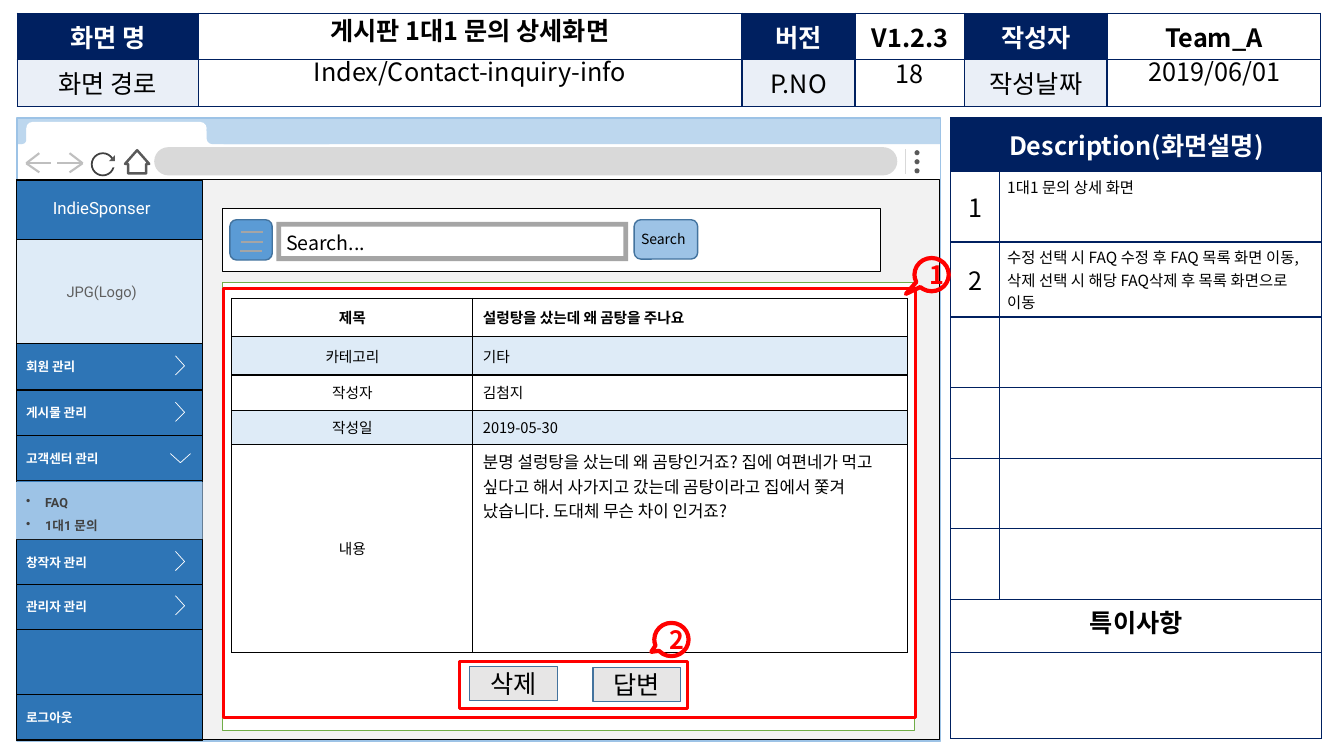
"""Build the wireframe slide of the one-to-one inquiry detail screen."""
from dataclasses import dataclass, field
from typing import Any, Optional

from lxml import etree
from pptx import Presentation
from pptx.dml.color import RGBColor
from pptx.enum.shapes import MSO_CONNECTOR, MSO_SHAPE
from pptx.enum.text import MSO_ANCHOR, PP_ALIGN
from pptx.oxml.ns import qn
from pptx.util import Pt

SCALE = 9144
RECT, ROUND, OVAL = MSO_SHAPE.RECTANGLE, MSO_SHAPE.ROUNDED_RECTANGLE, MSO_SHAPE.OVAL
TRIANGLE, ARROW = MSO_SHAPE.ISOSCELES_TRIANGLE, MSO_SHAPE.DOWN_ARROW
FRAME, CALLOUT = MSO_SHAPE.FRAME, MSO_SHAPE.OVAL_CALLOUT
STRAIGHT = MSO_CONNECTOR.STRAIGHT
LEFT, CENTER = PP_ALIGN.LEFT, PP_ALIGN.CENTER
TOP, MIDDLE = MSO_ANCHOR.TOP, MSO_ANCHOR.MIDDLE
KOREAN, LATIN = "Noto Sans CJK KR", "Roboto"

BLACK, WHITE = RGBColor(0, 0, 0), RGBColor(255, 255, 255)
RED, GREEN = RGBColor(255, 0, 0), RGBColor(0x70, 0xAD, 0x47)
NAVY, ICE = RGBColor(0, 0x20, 0x60), RGBColor(0xEA, 0xEF, 0xF7)
MENU_BLUE, PALE_BLUE = RGBColor(0x2E, 0x75, 0xB6), RGBColor(0xDE, 0xEB, 0xF7)
TAB_BLUE, SOFT_BLUE = RGBColor(0xBD, 0xD7, 0xEE), RGBColor(0x9D, 0xC3, 0xE6)
ICON_BLUE, EDGE_BLUE = RGBColor(0x5B, 0x9B, 0xD5), RGBColor(0x43, 0x73, 0x9E)
PAGE_GRAY, BUTTON_GRAY = RGBColor(0xF2, 0xF2, 0xF2), RGBColor(0xE7, 0xE6, 0xE6)
LIGHT_GRAY, ARROW_GRAY = RGBColor(0xD9, 0xD9, 0xD9), RGBColor(0xBF, 0xBF, 0xBF)
MID_GRAY, LOGO_GRAY = RGBColor(0xA5, 0xA5, 0xA5), RGBColor(0x5F, 0x5F, 0x5F)
ICON_GRAY, DARK_GRAY = RGBColor(0x59, 0x59, 0x59), RGBColor(0x40, 0x40, 0x40)


@dataclass(frozen=True)
class Box:
    """A preset shape, or a text box when it has no preset."""
    left: int
    top: int
    width: int
    height: int
    preset: Any = RECT
    fill: Optional[RGBColor] = None
    line: Optional[RGBColor] = None
    weight: float = 1
    adjust: tuple[float, ...] = ()
    turn: int = 0
    text: str = ""
    style: dict[str, Any] = field(default_factory=dict)


@dataclass(frozen=True)
class Stroke:
    """A straight line between two points."""
    x1: int
    y1: int
    x2: int
    y2: int
    color: RGBColor = ARROW_GRAY
    weight: float = 1.5


@dataclass(frozen=True)
class Cell:
    """A table cell with its fill and text format."""
    text: str = ""
    fill: Optional[RGBColor] = None
    style: dict[str, Any] = field(default_factory=dict)


def write(frame: Any, text: str, *, size: float = 18, color: RGBColor = BLACK,
          bold: bool = False, align: Any = CENTER, anchor: Any = MIDDLE, font: str = KOREAN,
          spacing: Optional[float] = None, bullet: bool = False,
          insets: tuple[int, int, int, int] = (10, 5, 10, 5)) -> None:
    """Fill a text frame with one paragraph for each line of text."""
    frame.word_wrap = True
    frame.vertical_anchor = anchor
    frame.margin_left, frame.margin_top, frame.margin_right, frame.margin_bottom = (
        inset * SCALE for inset in insets)
    for index, words in enumerate(text.split("\n")):
        para = frame.add_paragraph() if index else frame.paragraphs[0]
        para.alignment = align
        if bullet:
            props = para._p.get_or_add_pPr()
            props.set("marL", str(19 * SCALE))
            props.set("indent", str(-19 * SCALE))
            etree.SubElement(props, qn("a:buChar"), char="•")
        if spacing:
            para.line_spacing = spacing
        span = para.add_run()
        span.text = words
        span.font.size, span.font.bold, span.font.name = Pt(size), bold, font
        span.font.color.rgb = color
        etree.SubElement(span._r.get_or_add_rPr(), qn("a:ea"), typeface=KOREAN)


def paint(shape: Any, fill: Optional[RGBColor], line: Optional[RGBColor], weight: float) -> None:
    """Set the fill and outline of a shape and drop its shadow."""
    shape.shadow.inherit = False
    if fill is None:
        shape.fill.background()
    else:
        shape.fill.solid()
        shape.fill.fore_color.rgb = fill
    if line is None:
        shape.line.fill.background()
    else:
        shape.line.color.rgb = line
        shape.line.width = Pt(weight)


def draw_box(page: Any, box: Box) -> None:
    """Draw a preset shape or a text box."""
    place = [length * SCALE for length in (box.left, box.top, box.width, box.height)]
    if box.preset is None:
        shape = page.shapes.add_textbox(*place)
    else:
        shape = page.shapes.add_shape(box.preset, *place)
        paint(shape, box.fill, box.line, box.weight)
        shape.rotation = box.turn
        for index, value in enumerate(box.adjust):
            shape.adjustments[index] = value
    if box.text:
        write(shape.text_frame, box.text, **box.style)


def draw_stroke(page: Any, stroke: Stroke) -> None:
    """Draw a straight line."""
    ends = [length * SCALE for length in (stroke.x1, stroke.y1, stroke.x2, stroke.y2)]
    line = page.shapes.add_connector(STRAIGHT, *ends)
    line.line.color.rgb = stroke.color
    line.line.width = Pt(stroke.weight)
    etree.SubElement(line._element.spPr, qn("a:effectLst"))


def draw_chevron(page: Any, points: list[tuple[int, int]]) -> None:
    """Draw an open white chevron."""
    builder = page.shapes.build_freeform(*points[0], scale=SCALE)
    builder.add_line_segments(points[1:], close=False)
    paint(builder.convert_to_shape(), None, WHITE, 0.5)


def draw_table(page: Any, left: int, top: int, widths: list[int], heights: list[int],
               rows: list[list[Cell]], border: RGBColor) -> None:
    """Draw a bordered table; a row with a single cell spans all columns."""
    table = page.shapes.add_table(len(heights), len(widths), left * SCALE, top * SCALE,
                                  sum(widths) * SCALE, sum(heights) * SCALE).table
    table.first_row = table.horz_banding = False
    for column, width in zip(table.columns, widths):
        column.width = width * SCALE
    for index, (height, cells) in enumerate(zip(heights, rows)):
        table.rows[index].height = height * SCALE
        if len(cells) < len(widths):
            table.cell(index, 0).merge(table.cell(index, len(widths) - 1))
        for number in range(len(widths)):
            target, cell = table.cell(index, number), cells[min(number, len(cells) - 1)]
            if cell.fill is None:
                target.fill.background()
            else:
                target.fill.solid()
                target.fill.fore_color.rgb = cell.fill
            props = target._tc.get_or_add_tcPr()
            for order, side in enumerate("LRTB"):
                edge = etree.Element(qn(f"a:ln{side}"), w=str(Pt(1)))
                paint_fill = etree.SubElement(edge, qn("a:solidFill"))
                etree.SubElement(paint_fill, qn("a:srgbClr"), val=str(border))
                props.insert(order, edge)
            if cell.text and number < len(cells):
                style = dict(cell.style)
                insets = style.pop("insets", (10, 5, 10, 5))
                target.vertical_anchor = style.get("anchor", MIDDLE)
                write(target.text_frame, cell.text, **style)
                target.margin_left, target.margin_top, target.margin_right, target.margin_bottom = (
                    inset * SCALE for inset in insets)


def draw_browser(page: Any) -> None:
    """Draw the browser window with its tab, buttons and address bar."""
    for box in [Box(917, 179, 16, 555, fill=LIGHT_GRAY),
                Box(17, 142, 916, 37, fill=WHITE, line=BLACK, weight=0.5),
                Box(153, 146, 737, 28, ROUND, LIGHT_GRAY, adjust=(0.5,)),
                *(Box(907, top, 5, 5, OVAL, ICON_GRAY) for top in (149, 158, 167))]:
        draw_box(page, box)
    draw_stroke(page, Stroke(898, 148, 898, 173, LIGHT_GRAY, 1))
    draw_box(page, Box(17, 117, 916, 26, fill=TAB_BLUE))
    for tip, way in ((26, 1), (82, -1)):
        for reach, drop in ((25, 0), (13, -10), (13, 9)):
            draw_stroke(page, Stroke(tip, 162, tip + way * reach, 162 + drop))
    for box in [Box(91, 152, 22, 22, OVAL, line=DARK_GRAY, weight=1.25),
                Box(109, 158, 8, 8, fill=WHITE),
                Box(108, 154, 6, 6, TRIANGLE, ICON_GRAY, adjust=(1,)),
                Box(124, 149, 24, 23, ARROW, WHITE, ICON_GRAY, 1.75, (0.75, 0.59), 180),
                Box(26, 121, 179, 23, ROUND, WHITE, adjust=(0.28,)),
                Box(188, 130, 34, 15, ROUND, WHITE, adjust=(0.17,)),
                Box(205, 123, 127, 20, ROUND, TAB_BLUE, adjust=(0.28,)),
                Box(21, 130, 13, 15, ROUND, WHITE, adjust=(0.17,)),
                Box(17, 123, 9, 20, ROUND, TAB_BLUE, adjust=(0.46,)),
                Box(17, 117, 916, 618, line=SOFT_BLUE)]:
        draw_box(page, box)


def draw_header(page: Any) -> None:
    """Draw the title table."""
    head, plain = dict(color=WHITE, bold=True, anchor=TOP), dict(anchor=TOP)
    strong = dict(bold=True, anchor=TOP)
    rows = [[Cell("화면 명", NAVY, head), Cell("", WHITE), Cell("버전", NAVY, head),
             Cell("V1.2.3", WHITE, strong), Cell("작성자", NAVY, head), Cell("Team_A", WHITE, strong)],
            [Cell("화면 경로", ICE, plain), Cell("", WHITE), Cell("P.NO", ICE, plain),
             Cell("", WHITE), Cell("작성날짜", ICE, plain), Cell("", WHITE)]]
    draw_table(page, 17, 13, [180, 539, 112, 109, 141, 212], [46, 46], rows, NAVY)


def draw_sidebar(page: Any) -> None:
    """Draw the page background and the side menu."""
    insets = (10, 5, 25, 5)
    item = dict(size=9, color=WHITE, bold=True, align=LEFT, font=LATIN, insets=insets)
    brand = dict(size=12, color=WHITE, anchor=TOP, font=LATIN, insets=(10, 17, 25, 5))
    logo = dict(size=10.5, color=LOGO_GRAY, font=LATIN, insets=insets)
    draw_box(page, Box(16, 178, 916, 556, fill=PAGE_GRAY, line=BLACK, weight=0.5))
    for top, height, fill, text, style in [(179, 556, MENU_BLUE, "IndieSponser", brand),
                                           (238, 103, PALE_BLUE, "JPG(Logo)", logo)]:
        draw_box(page, Box(16, top, 185, height, RECT, fill, BLACK, 0.5, text=text, style=style))
    for top, text, arrow in [(387, "게시물 관리", "right"), (341, "회원 관리", "right"),
                             (579, "관리자 관리", "right"), (432, "고객센터 관리", "down"),
                             (535, "창작자 관리", "right"), (689, "로그아웃", "")]:
        draw_box(page, Box(16, top, 185, 45, RECT, MENU_BLUE, BLACK, 0.5, text=text, style=item))
        if arrow == "right":
            draw_chevron(page, [(174, top + 12), (183, top + 22), (174, top + 31)])
        elif arrow == "down":
            draw_chevron(page, [(169, top + 18), (179, top + 27), (189, top + 18)])
    submenu = item | dict(color=DARK_GRAY, spacing=1.5, bullet=True)
    draw_box(page, Box(16, 478, 185, 57, fill=SOFT_BLUE, text="FAQ\n1대1 문의", style=submenu))


def draw_description(page: Any) -> None:
    """Draw the description table."""
    number = dict(insets=(8, 4, 8, 4))
    note = number | dict(size=11, align=LEFT, anchor=TOP)
    change = "수정 선택 시 FAQ 수정 후 FAQ 목록 화면 이동, 삭제 선택 시 해당 FAQ삭제 후 목록 화면으로 이동"
    rows = [[Cell("Description(화면설명)", NAVY, number | dict(color=WHITE, bold=True))],
            [Cell("1", style=number), Cell("1대1 문의 상세 화면", style=note)],
            [Cell("2", style=number), Cell(change, style=note)],
            *([Cell(), Cell()] for _ in range(4)),
            [Cell("특이사항", style=number | dict(bold=True, anchor=TOP))], [Cell()]]
    draw_table(page, 943, 117, [48, 320], [53] + [70] * 6 + [53, 85], rows, NAVY)


def draw_content(page: Any) -> None:
    """Draw the header values, search bar, inquiry table, buttons and callouts."""
    value = dict(anchor=TOP, spacing=0.9)
    for box in [Box(197, 14, 538, 38, None, text="게시판 1대1 문의 상세화면", style=value | dict(bold=True)),
                Box(197, 54, 538, 38, None, text="Index/Contact-inquiry-info", style=value),
                Box(1099, 54, 211, 38, None, text="2019/06/01", style=value),
                Box(221, 207, 652, 62, fill=WHITE, line=BLACK, weight=0.5),
                Box(228, 218, 42, 40, ROUND, ICON_BLUE, EDGE_BLUE)]:
        draw_box(page, box)
    for left, top in ((239, 230), (239, 240), (238, 249)):
        draw_stroke(page, Stroke(left, top, left + 22, top, MID_GRAY))
    label = dict(align=LEFT, anchor=TOP)
    for box in [Box(274, 220, 349, 39, FRAME, MID_GRAY, adjust=(0.125,)),
                Box(274, 224, 111, 34, None, text="Search...", style=label | dict(size=14)),
                Box(629, 218, 63, 39, ROUND, SOFT_BLUE, EDGE_BLUE),
                Box(626, 224, 76, 27, None, text="Search", style=label | dict(size=10)),
                Box(221, 280, 686, 445, fill=WHITE, line=GREEN),
                Box(222, 286, 686, 426, line=RED, weight=2)]:
        draw_box(page, box)
    body = "분명 설렁탕을 샀는데 왜 곰탕인거죠? 집에 여편네가 먹고 싶다고 해서 사가지고 갔는데 곰탕이라고 집에서 쫓겨 났습니다. 도대체 무슨 차이 인거죠?"
    name = dict(size=10.5)
    entry, bold = name | dict(align=LEFT), dict(bold=True)
    rows = [[Cell("제목", None, name | bold), Cell("설렁탕을 샀는데 왜 곰탕을 주나요", None, entry | bold)],
            *([Cell(key, fill, name), Cell(text, fill, entry)] for key, text, fill in (
                ("카테고리", "기타", PALE_BLUE), ("작성자", "김첨지", None),
                ("작성일", "2019-05-30", PALE_BLUE))),
            [Cell("내용", None, name), Cell(body, None, label | dict(size=12))]]
    draw_table(page, 230, 296, [239, 431], [38, 38, 35, 34, 206], rows, BLACK)
    mark = dict(color=RED, bold=True)
    for box in [Box(907, 256, 34, 33, CALLOUT, None, RED, 3, (-0.75, 0.58), text="1", style=mark),
                Box(466, 661, 87, 34, RECT, BUTTON_GRAY, EDGE_BLUE, text="삭제"),
                Box(588, 662, 87, 34, RECT, BUTTON_GRAY, EDGE_BLUE, text="답변"),
                Box(649, 618, 34, 33, CALLOUT, None, RED, 3, (-0.59, 0.37), text="2", style=mark),
                Box(456, 656, 226, 47, line=RED, weight=2.25),
                Box(848, 54, 108, 38, None, text="18")]:
        draw_box(page, box)


def main() -> None:
    """Build and save the deck."""
    deck = Presentation()
    deck.slide_width, deck.slide_height = 1333 * SCALE, 750 * SCALE
    page = deck.slides.add_slide(deck.slide_layouts[6])
    for draw in (draw_browser, draw_header, draw_sidebar, draw_description, draw_content):
        draw(page)
    deck.save("out.pptx")


if __name__ == "__main__":
    main()
